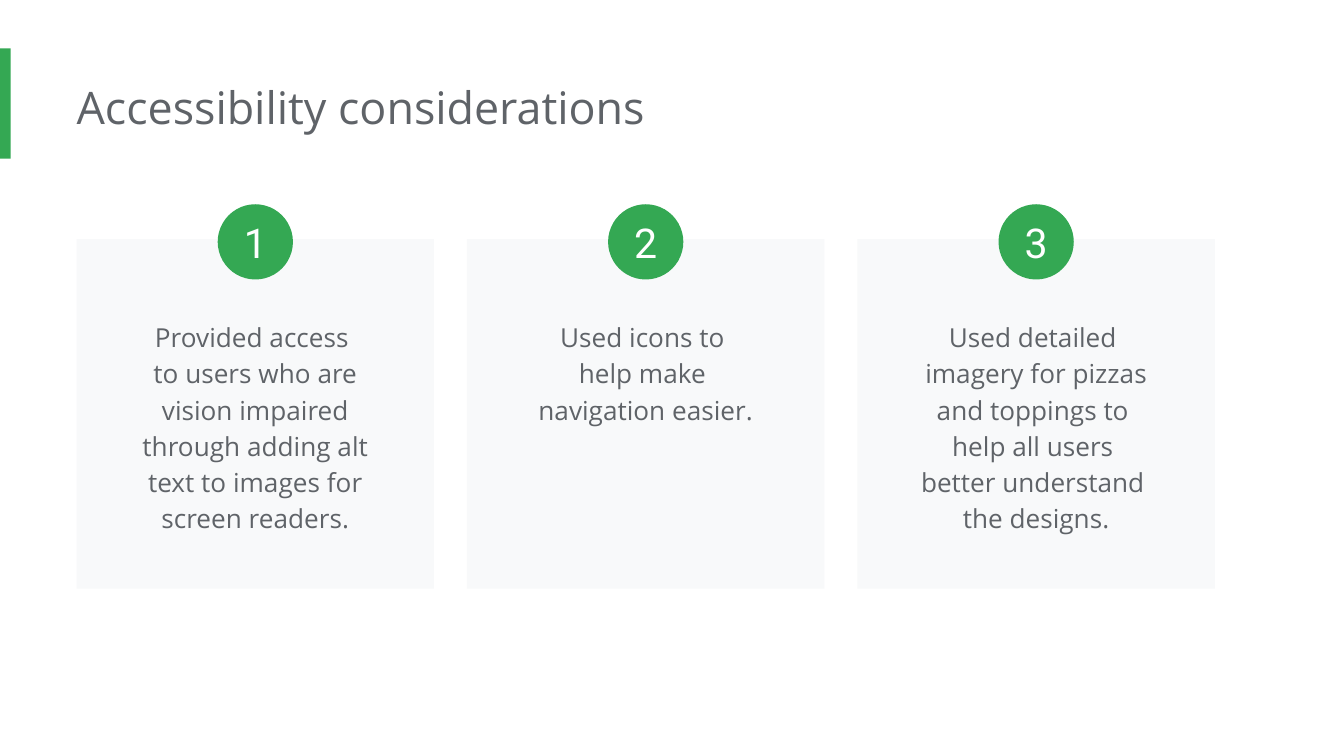
from dataclasses import dataclass

from pptx import Presentation
from pptx.dml.color import RGBColor
from pptx.enum.shapes import MSO_SHAPE
from pptx.enum.text import MSO_ANCHOR, MSO_AUTO_SIZE, PP_ALIGN
from pptx.util import Inches, Pt

GREEN = RGBColor(0x34, 0xA8, 0x53)
GREY = RGBColor(0x5F, 0x63, 0x68)
PALE = RGBColor(0xF8, 0xF9, 0xFA)
WHITE = RGBColor(0xFF, 0xFF, 0xFF)

# Card grid, in inches
GRID_LEFT, GRID_RIGHT = 0.57, 9.04
CARD_TOP, CARD_WIDTH, CARD_HEIGHT = 1.78, 2.66, 2.6
TEXT_TOP, TEXT_WIDTH = 2.26, 2.24
BADGE_TOP, BADGE_SIZE = 1.52, 0.56


@dataclass
class Consideration:
    lines: tuple[str, ...]
    text_height: float


CONSIDERATIONS = [
    Consideration(("Provided access ",
                   "to users who are vision impaired through adding alt "
                   "text to images for screen readers."), 1.79),
    Consideration(("Used icons to ", "help make ", "navigation easier."), 0.98),
    Consideration(("Used detailed ", "imagery for pizzas and toppings to ",
                   "help all users ", "better understand ", "the designs."), 1.79),
]


def add_filled(page, kind, left: float, top: float, width: float, height: float,
               color: RGBColor):
    shape = page.shapes.add_shape(kind, Inches(left), Inches(top),
                                  Inches(width), Inches(height))
    shape.shadow.inherit = False
    shape.fill.solid()
    shape.fill.fore_color.rgb = color
    shape.line.fill.background()
    return shape


def set_margins(frame, left: float, others: float) -> None:
    frame.margin_left = Inches(left)
    frame.margin_top = frame.margin_right = frame.margin_bottom = Inches(others)


def add_span(para, text: str, font: str, size: float, color: RGBColor) -> None:
    span = para.add_run()
    span.text = text
    span.font.name = font
    span.font.size = Pt(size)
    span.font.color.rgb = color


def add_title(page, text: str) -> None:
    title = page.shapes.title
    title.left, title.top = Inches(GRID_LEFT), Inches(0.49)
    title.width, title.height = Inches(7.66), Inches(0.61)
    frame = title.text_frame
    frame.word_wrap = True
    frame.auto_size = MSO_AUTO_SIZE.SHAPE_TO_FIT_TEXT
    frame.vertical_anchor = MSO_ANCHOR.TOP
    set_margins(frame, 0, 0.1)
    para = frame.paragraphs[0]
    para.alignment = PP_ALIGN.LEFT
    add_span(para, text, "Open Sans", 24, GREY)


def add_card(page, left: float, item: Consideration) -> None:
    add_filled(page, MSO_SHAPE.RECTANGLE, left, CARD_TOP, CARD_WIDTH, CARD_HEIGHT, PALE)
    box = page.shapes.add_textbox(Inches(left + (CARD_WIDTH - TEXT_WIDTH) / 2),
                                  Inches(TEXT_TOP), Inches(TEXT_WIDTH),
                                  Inches(item.text_height))
    frame = box.text_frame
    frame.word_wrap = True
    frame.auto_size = MSO_AUTO_SIZE.SHAPE_TO_FIT_TEXT
    set_margins(frame, 0.1, 0.1)
    para = frame.paragraphs[0]
    para.alignment = PP_ALIGN.CENTER
    para.line_spacing = 1.15
    for index, line in enumerate(item.lines):
        if index:
            para.add_line_break()
        add_span(para, line, "Open Sans", 14, GREY)
    # Line breaks take their height from the paragraph font
    para.font.size = Pt(14)


def add_badge(page, card_left: float, number: int) -> None:
    badge = add_filled(page, MSO_SHAPE.OVAL, card_left + (CARD_WIDTH - BADGE_SIZE) / 2,
                       BADGE_TOP, BADGE_SIZE, BADGE_SIZE, GREEN)
    frame = badge.text_frame
    frame.vertical_anchor = MSO_ANCHOR.MIDDLE
    set_margins(frame, 0, 0)
    para = frame.paragraphs[0]
    para.alignment = PP_ALIGN.CENTER
    add_span(para, str(number), "Roboto", 22, WHITE)


def main() -> None:
    # Widescreen page, 16:9
    deck = Presentation()
    deck.slide_width = Inches(10)
    deck.slide_height = deck.slide_width * 9 // 16
    page = deck.slides.add_slide(deck.slide_layouts[5])

    # Accent bar and title
    add_filled(page, MSO_SHAPE.RECTANGLE, 0, 0.36, 0.08, 0.82, GREEN)
    add_title(page, "Accessibility considerations")

    # Evenly spaced cards, then the numbers over their top edges
    pitch = (GRID_RIGHT - GRID_LEFT - CARD_WIDTH) / (len(CONSIDERATIONS) - 1)
    lefts = [GRID_LEFT + index * pitch for index in range(len(CONSIDERATIONS))]
    for left, item in zip(lefts, CONSIDERATIONS):
        add_card(page, left, item)
    for number, left in enumerate(lefts, start=1):
        add_badge(page, left, number)

    deck.save("out.pptx")


if __name__ == "__main__":
    main()
